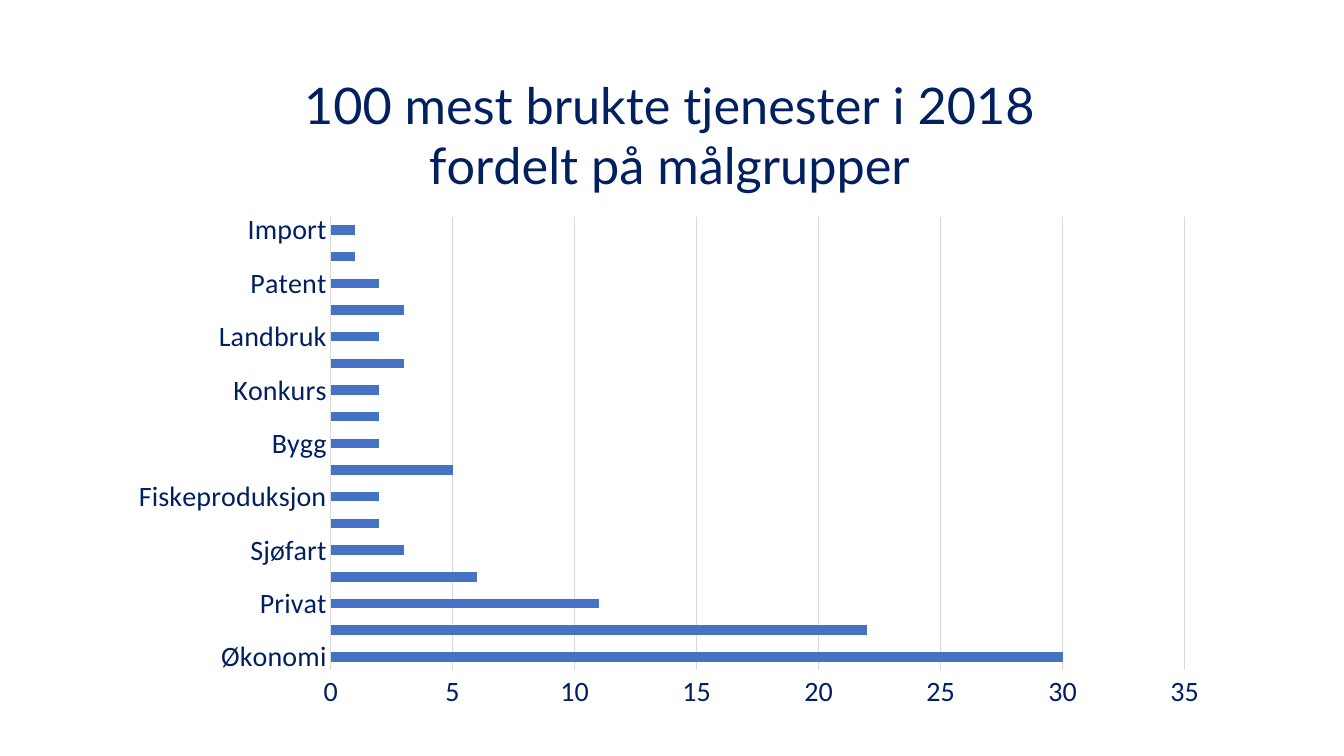
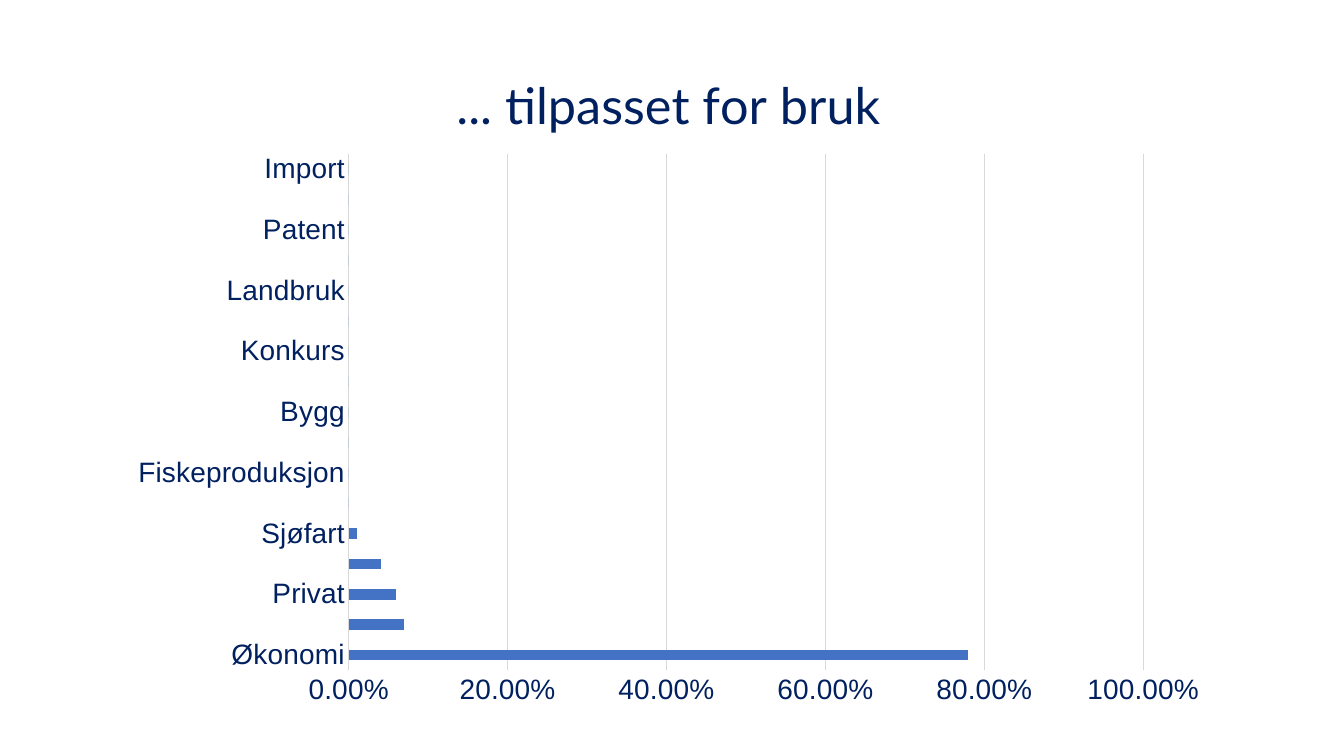
from dataclasses import dataclass

import lxml.etree
import pptx
import pptx.chart.data
import pptx.dml.color
import pptx.enum.chart
import pptx.oxml.ns
import pptx.presentation
import pptx.util
from pptx.util import Inches


@dataclass(frozen=True)
class Theme:
    text: str = "002060"
    bar: str = "4472C4"
    rule: str = "D9D9D9"
    title_font: str = "Lato"
    title_size: int = 36
    label_size: int = 20
    rule_width: float = 0.75
    gap_width: int = 182


@dataclass(frozen=True)
class Box:
    left: float
    top: float
    width: float
    height: float


@dataclass(frozen=True)
class BarSlide:
    title: str
    font: str
    values: tuple[float, ...]
    maximum: float
    step: float
    number_format: str
    frame: Box
    plot: Box


THEME = Theme()
AUDIENCES = (
    "Økonomi", "Organisasjon", "Privat", "Alle", "Sjøfart", "Pensjon",
    "Fiskeproduksjon", "Verge", "Bygg", "Luftfart", "Konkurs", "Helse",
    "Landbruk", "Kunstnere", "Patent", "Renhold", "Import",
)
SLIDES = (
    BarSlide(
        "100 mest brukte tjenester i 2018 fordelt på målgrupper", "Calibri",
        (30, 22, 11, 6, 3, 2, 2, 5, 2, 2, 2, 3, 2, 3, 2, 1, 1),
        35, 5, "General",
        Box(1.16, 0.41, 10.96, 6.75), Box(3.28, 2.15, 8.47, 4.5),
    ),
    BarSlide(
        "... tilpasset for bruk", "Arial",
        (0.78, 0.07, 0.06, 0.04, 0.01) + (0,) * 12,
        1, 0.2, "0.00%",
        Box(1.15, 0.41, 10.96, 6.72), Box(3.46, 1.53, 7.88, 5.12),
    ),
)


def rgb(value: str) -> pptx.dml.color.RGBColor:
    return pptx.dml.color.RGBColor.from_string(value)


def style_font(font, name: str, size: int) -> None:
    font.name = name
    font.size = pptx.util.Pt(size)
    font.bold = False
    font.color.rgb = rgb(THEME.text)


def style_rule(line) -> None:
    line.color.rgb = rgb(THEME.rule)
    line.width = pptx.util.Pt(THEME.rule_width)


def add_title(chart, text: str) -> None:
    chart.has_title = True
    chart.chart_title.include_in_layout = False
    p = chart.chart_title.text_frame.paragraphs[0]
    r = p.add_run()
    r.text = text
    style_font(r.font, THEME.title_font, THEME.title_size)


def place_plot(chart, frame: Box, plot: Box) -> None:
    qn = pptx.oxml.ns.qn
    area = next(chart.element.iter(qn("c:plotArea")))
    for layout in area.findall(qn("c:layout")):
        area.remove(layout)
    layout = lxml.etree.Element(qn("c:layout"))
    area.insert(0, layout)
    manual = lxml.etree.SubElement(layout, qn("c:manualLayout"))
    settings = {
        "layoutTarget": "inner",
        "xMode": "edge",
        "yMode": "edge",
        "x": (plot.left - frame.left) / frame.width,
        "y": (plot.top - frame.top) / frame.height,
        "w": plot.width / frame.width,
        "h": plot.height / frame.height,
    }
    for name, value in settings.items():
        lxml.etree.SubElement(manual, qn(f"c:{name}")).set("val", str(value))


def style_axes(chart, slide: BarSlide) -> None:
    for axis in (chart.category_axis, chart.value_axis):
        axis.major_tick_mark = pptx.enum.chart.XL_TICK_MARK.NONE
        axis.minor_tick_mark = pptx.enum.chart.XL_TICK_MARK.NONE
        style_font(axis.tick_labels.font, slide.font, THEME.label_size)
    style_rule(chart.category_axis.format.line)
    values = chart.value_axis
    values.format.line.fill.background()
    values.has_major_gridlines = True
    style_rule(values.major_gridlines.format.line)
    values.minimum_scale = 0
    values.maximum_scale = slide.maximum
    values.major_unit = slide.step
    values.tick_labels.number_format = slide.number_format
    values.tick_labels.number_format_is_linked = False


def add_bar_slide(prs: pptx.presentation.Presentation, slide: BarSlide) -> None:
    s = prs.slides.add_slide(prs.slide_layouts[6])
    data = pptx.chart.data.CategoryChartData(number_format=slide.number_format)
    data.categories = AUDIENCES
    data.add_series("Series 1", slide.values)
    frame = slide.frame
    chart = s.shapes.add_chart(
        pptx.enum.chart.XL_CHART_TYPE.BAR_CLUSTERED,
        Inches(frame.left), Inches(frame.top),
        Inches(frame.width), Inches(frame.height), data,
    ).chart
    style_font(chart.font, slide.font, THEME.label_size)
    chart.has_legend = False
    add_title(chart, slide.title)
    place_plot(chart, frame, slide.plot)
    style_axes(chart, slide)
    plot = chart.plots[0]
    plot.gap_width = THEME.gap_width
    plot.vary_by_categories = False
    fill = plot.series[0].format.fill
    fill.solid()
    fill.fore_color.rgb = rgb(THEME.bar)


def main() -> None:
    prs = pptx.Presentation()
    prs.slide_width = Inches(13.33)
    prs.slide_height = Inches(7.5)
    for slide in SLIDES:
        add_bar_slide(prs, slide)
    prs.save("out.pptx")


if __name__ == "__main__":
    main()
